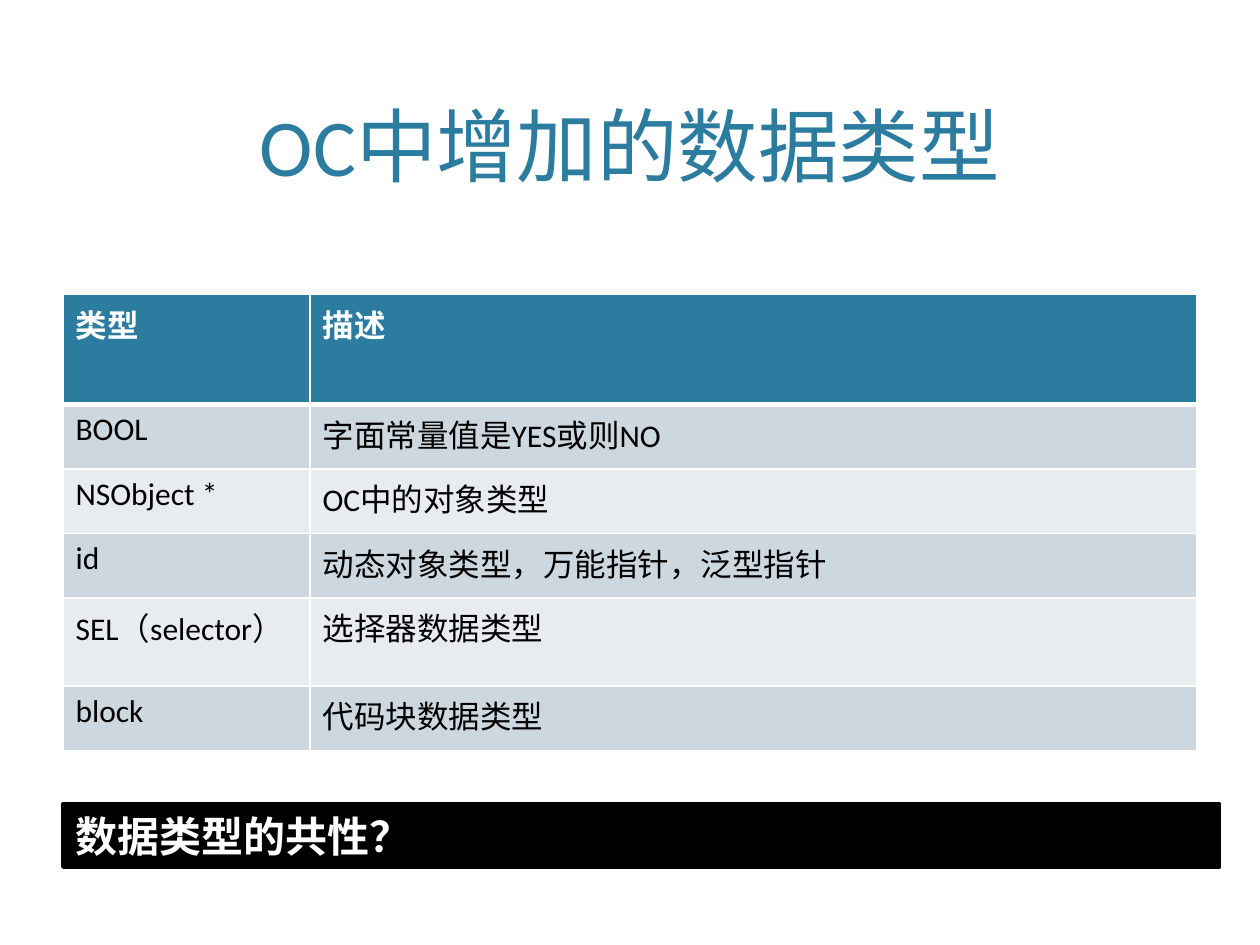
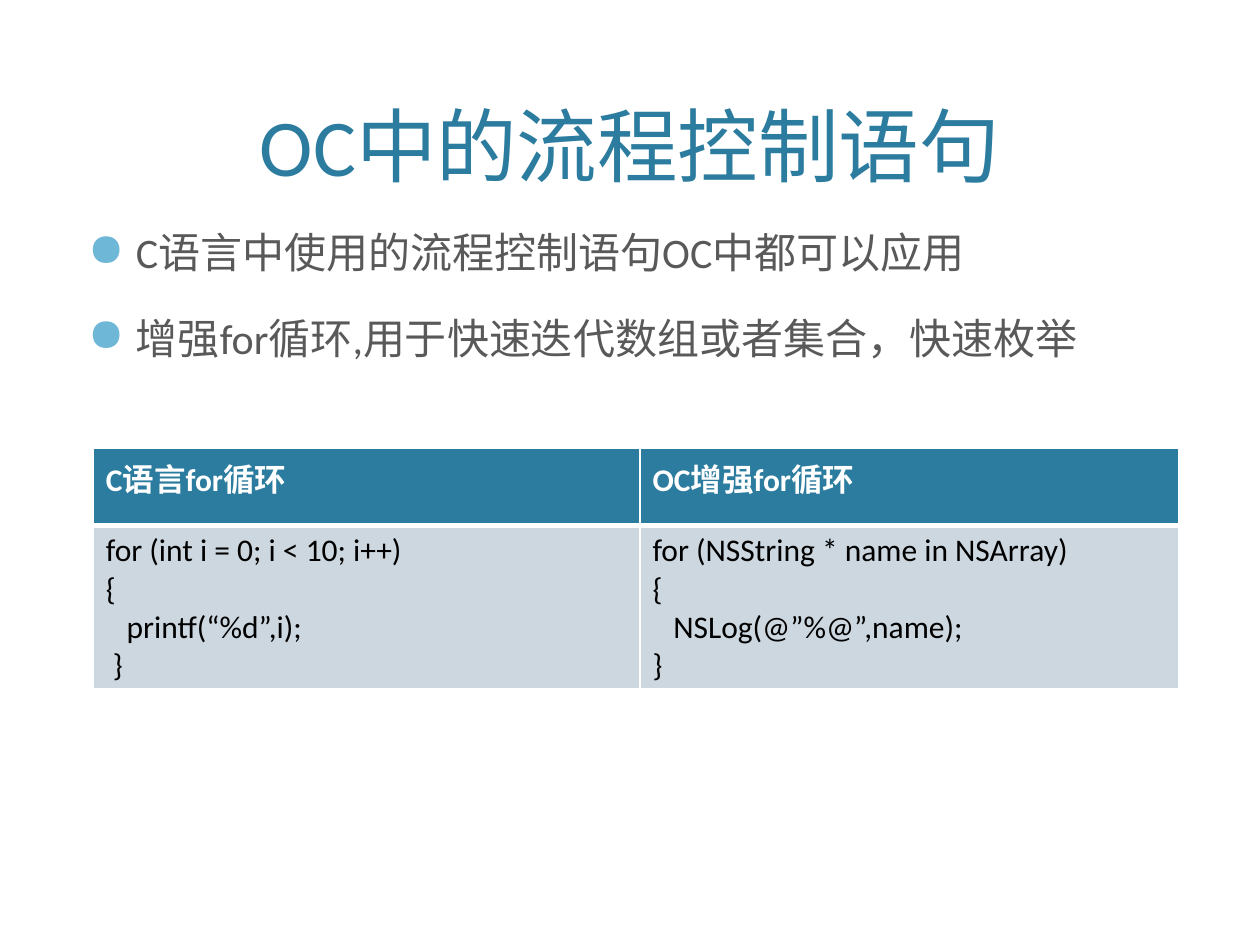
from pptx import Presentation
from pptx.dml.color import RGBColor
from pptx.enum.shapes import MSO_SHAPE
from pptx.enum.text import MSO_ANCHOR, MSO_AUTO_SIZE, PP_ALIGN
from pptx.oxml import parse_xml
from pptx.oxml.ns import nsdecls
from pptx.util import Cm, Pt

BLUE = RGBColor(0x2C, 0x7C, 0x9F)
LIGHT_BLUE = RGBColor(0x6F, 0xB7, 0xD7)
BAND_DARK = RGBColor(0xCD, 0xD7, 0xDF)
BAND_LIGHT = RGBColor(0xE8, 0xEC, 0xF0)
GREY = RGBColor(0x59, 0x59, 0x59)
BLACK = RGBColor(0, 0, 0)
WHITE = RGBColor(0xFF, 0xFF, 0xFF)
FONT = "Calibri"
SPACE_WIDTH = 0.14  # cm of indent for one leading space in code

presentation = Presentation()
presentation.slide_width = Cm(25.4)
presentation.slide_height = Cm(19.05)


def style(paragraph, size, color, bold=False):
    font = paragraph.font
    font.name, font.size, font.bold = FONT, Pt(size), bold
    font.color.rgb = color


def add_grid(slide, left, top, widths, heights, rows):
    """Table with a blue header, banded rows and white rules."""
    table = slide.shapes.add_table(
        len(rows), len(widths), Cm(left), Cm(top),
        Cm(sum(widths)), Cm(sum(heights))).table
    for column, width in zip(table.columns, widths):
        column.width = Cm(width)
    for row, height in zip(table.rows, heights):
        row.height = Cm(height)
    for row_index, row in enumerate(rows):
        is_header = row_index == 0
        for column_index, text in enumerate(row):
            cell = table.cell(row_index, column_index)
            # Thick rule between the header and the first row
            thick_side = {0: "lnB", 1: "lnT"}.get(row_index)
            properties = cell._tc.get_or_add_tcPr()
            for side in ("lnL", "lnR", "lnT", "lnB"):
                width = Pt(3 if side == thick_side else 1)
                properties.append(parse_xml(
                    f'<a:{side} {nsdecls("a")} w="{width}"><a:solidFill>'
                    f'<a:srgbClr val="{WHITE}"/></a:solidFill></a:{side}>'))
            cell.fill.solid()
            band = BAND_DARK if row_index % 2 else BAND_LIGHT
            cell.fill.fore_color.rgb = BLUE if is_header else band
            # Leading spaces of code become paragraph indents
            lines = text.split("\n")
            cell.text = "\n".join(line.lstrip() for line in lines)
            for paragraph, line in zip(cell.text_frame.paragraphs, lines):
                style(paragraph, 18, WHITE if is_header else BLACK, is_header)
                spaces = len(line) - len(line.lstrip())
                if spaces:
                    paragraph._p.get_or_add_pPr().set(
                        "marL", str(Cm(spaces * SPACE_WIDTH)))


# Slides with their shared title
slides = []
for title in ("OC中增加的数据类型", "OC中的流程控制语句"):
    slide = presentation.slides.add_slide(presentation.slide_layouts[6])
    frame = slide.shapes.add_textbox(
        Cm(1.52), Cm(0.3), Cm(22.35), Cm(3.71)).text_frame
    frame.word_wrap = True
    frame.vertical_anchor = MSO_ANCHOR.BOTTOM
    frame.text = title
    frame.paragraphs[0].alignment = PP_ALIGN.CENTER
    style(frame.paragraphs[0], 46, BLUE)
    slides.append(slide)
types_slide, control_slide = slides

# Slide 1: data types
add_grid(types_slide, 1.27, 5.94, [4.98, 17.88], [2.21] + [1.3] * 5, [
    ("类型", "描述"),
    ("BOOL", "字面常量值是YES或则NO"),
    ("NSObject *", "OC中的对象类型"),
    ("id", "动态对象类型，万能指针，泛型指针"),
    ("SEL（selector）", "选择器数据类型"),
    ("block", "代码块数据类型"),
])

# Slide 1: question bar
bar = types_slide.shapes.add_shape(
    MSO_SHAPE.RECTANGLE, Cm(1.27), Cm(16.21), Cm(23.32), Cm(1.27))
bar.shadow.inherit = False
bar.fill.solid()
bar.fill.fore_color.rgb = BLACK
bar.line.color.rgb = BLACK
bar.line.width = Pt(2)
frame = bar.text_frame
frame.word_wrap = True
frame.auto_size = MSO_AUTO_SIZE.SHAPE_TO_FIT_TEXT
frame.vertical_anchor = MSO_ANCHOR.TOP
frame.text = "数据类型的共性？"
frame.paragraphs[0].alignment = PP_ALIGN.LEFT
style(frame.paragraphs[0], 24, WHITE, True)

# Slide 2: bullets
frame = control_slide.shapes.add_textbox(
    Cm(1.52), Cm(4.45), Cm(22.35), Cm(12.07)).text_frame
frame.word_wrap = True
frame.text = ("C语言中使用的流程控制语句OC中都可以应用\n"
              "增强for循环,用于快速迭代数组或者集合，快速枚举")
for paragraph in frame.paragraphs:
    style(paragraph, 24, GREY)
    paragraph.space_before = Pt(20)
    properties = paragraph._p.get_or_add_pPr()
    properties.set("marL", str(Cm(0.97)))
    properties.set("indent", str(-Cm(0.97)))
    bullet_parts = (
        f'<a:buClr {nsdecls("a")}><a:srgbClr val="{LIGHT_BLUE}"/></a:buClr>',
        f'<a:buSzPct {nsdecls("a")} val="110000"/>',
        f'<a:buChar {nsdecls("a")} char="●"/>')
    default_font = properties.find("{*}defRPr")
    for part in bullet_parts:
        default_font.addprevious(parse_xml(part))

# Slide 2: loop comparison
add_grid(control_slide, 1.88, 9.04, [11.02, 10.87], [1.55, 1.55], [
    ("C语言for循环", "OC增强for循环"),
    ("for (int i = 0; i < 10; i++)\n{\n   printf(“%d”,i);\n }",
     "for (NSString * name in NSArray)\n{\n   NSLog(@”%@”,name);\n}"),
])

presentation.save("out.pptx")
